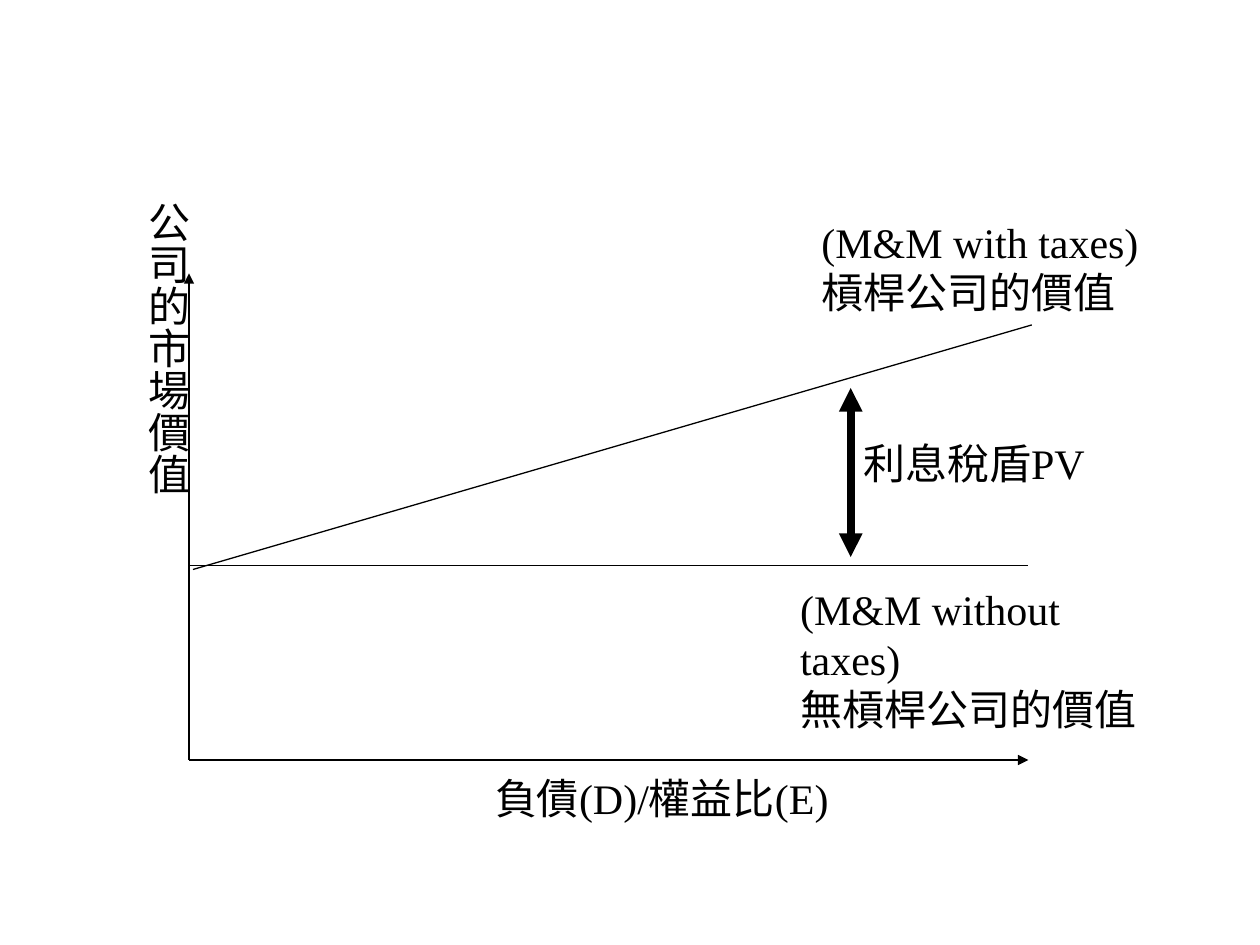
from lxml.etree import SubElement
from pptx import Presentation
from pptx.dml.color import RGBColor
from pptx.enum.shapes import MSO_CONNECTOR
from pptx.enum.text import MSO_AUTO_SIZE, PP_ALIGN
from pptx.oxml.ns import qn
from pptx.util import Cm, Pt

COLORS = {"ink": "000000"}
FONT = "Times New Roman"

# Chart geometry in cm
ORIGIN_X, ORIGIN_Y = 3.81, 15.32
AXIS_RIGHT, AXIS_TOP = 20.73, 5.51
UNLEVERED_Y = 11.4
SHIELD_X = 17.15


def add_label(slide, left, top, width, height, lines, grow=False):
    box = slide.shapes.add_textbox(Cm(left), Cm(top), Cm(width), Cm(height))
    tf = box.text_frame
    tf.word_wrap = True
    tf.auto_size = MSO_AUTO_SIZE.SHAPE_TO_FIT_TEXT if grow else MSO_AUTO_SIZE.NONE
    for i, line in enumerate(lines):
        p = tf.paragraphs[0] if i == 0 else tf.add_paragraph()
        r = p.add_run()
        r.text = line
        r.font.size = Pt(24)
        r.font.name = FONT
        r.font.color.rgb = RGBColor.from_string(COLORS["ink"])
    return tf


def set_vertical(tf):
    """Stack the East Asian characters upright, centred along the box."""
    tf._txBody.bodyPr.set("vert", "eaVert")
    tf.margin_left = tf.margin_right = Cm(0.13)
    tf.margin_top = tf.margin_bottom = Cm(0.25)
    tf.paragraphs[0].alignment = PP_ALIGN.CENTER


def add_line(slide, start, end, width=0.75, arrows=()):
    """Draw a line; arrows names the ends (headEnd, tailEnd) that get a triangle."""
    points = [Cm(v) for v in (*start, *end)]
    line = slide.shapes.add_connector(MSO_CONNECTOR.STRAIGHT, *points)
    line.line.width = Pt(width)
    line.line.color.rgb = RGBColor.from_string(COLORS["ink"])
    ln = line.line._get_or_add_ln()
    for end_name in arrows:
        SubElement(ln, qn(f"a:{end_name}"), type="triangle")
    SubElement(line._element.spPr, qn("a:effectLst"))


def add_labels(slide):
    add_label(slide, 15.88, 11.63, 7.82, 3.3,
              ["(M&M without taxes)", "無槓桿公司的價值"], grow=True)
    set_vertical(add_label(slide, 1.9, 3.81, 2.13, 7.54, ["公司的市場價值"]))
    add_label(slide, 9.73, 15.44, 7.62, 2.74, ["負債(D)/權益比(E)"])
    add_label(slide, 16.31, 4.24, 7.19, 2.29,
              ["(M&M with taxes)", "槓桿公司的價值"], grow=True)
    add_label(slide, SHIELD_X, 8.69, 5.33, 2.06, ["利息稅盾PV"])


def add_diagram(slide):
    origin = (ORIGIN_X, ORIGIN_Y)
    add_line(slide, origin, (AXIS_RIGHT, ORIGIN_Y), arrows=["tailEnd"])
    add_line(slide, origin, (ORIGIN_X, AXIS_TOP), arrows=["tailEnd"])
    add_line(slide, (ORIGIN_X, UNLEVERED_Y), (AXIS_RIGHT, UNLEVERED_Y))
    add_line(slide, (3.89, 11.48), (20.8, 6.55))
    add_line(slide, (SHIELD_X, 7.82), (SHIELD_X, 11.23), width=4.5,
             arrows=["headEnd", "tailEnd"])


def main():
    prs = Presentation()
    prs.slide_width, prs.slide_height = Cm(25.4), Cm(19.05)
    s = prs.slides.add_slide(prs.slide_layouts[6])
    add_labels(s)
    add_diagram(s)
    prs.save("out.pptx")


if __name__ == "__main__":
    main()
